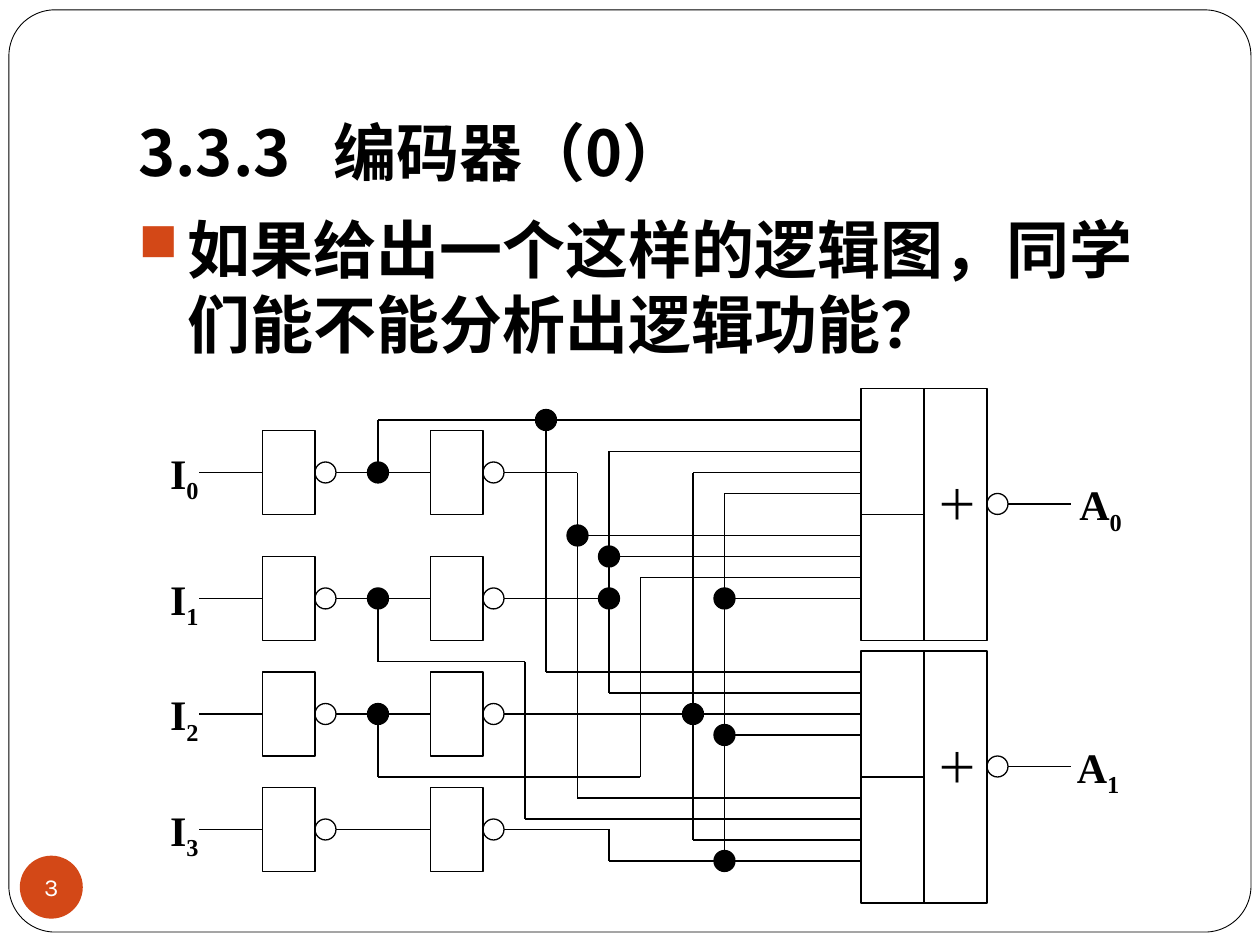
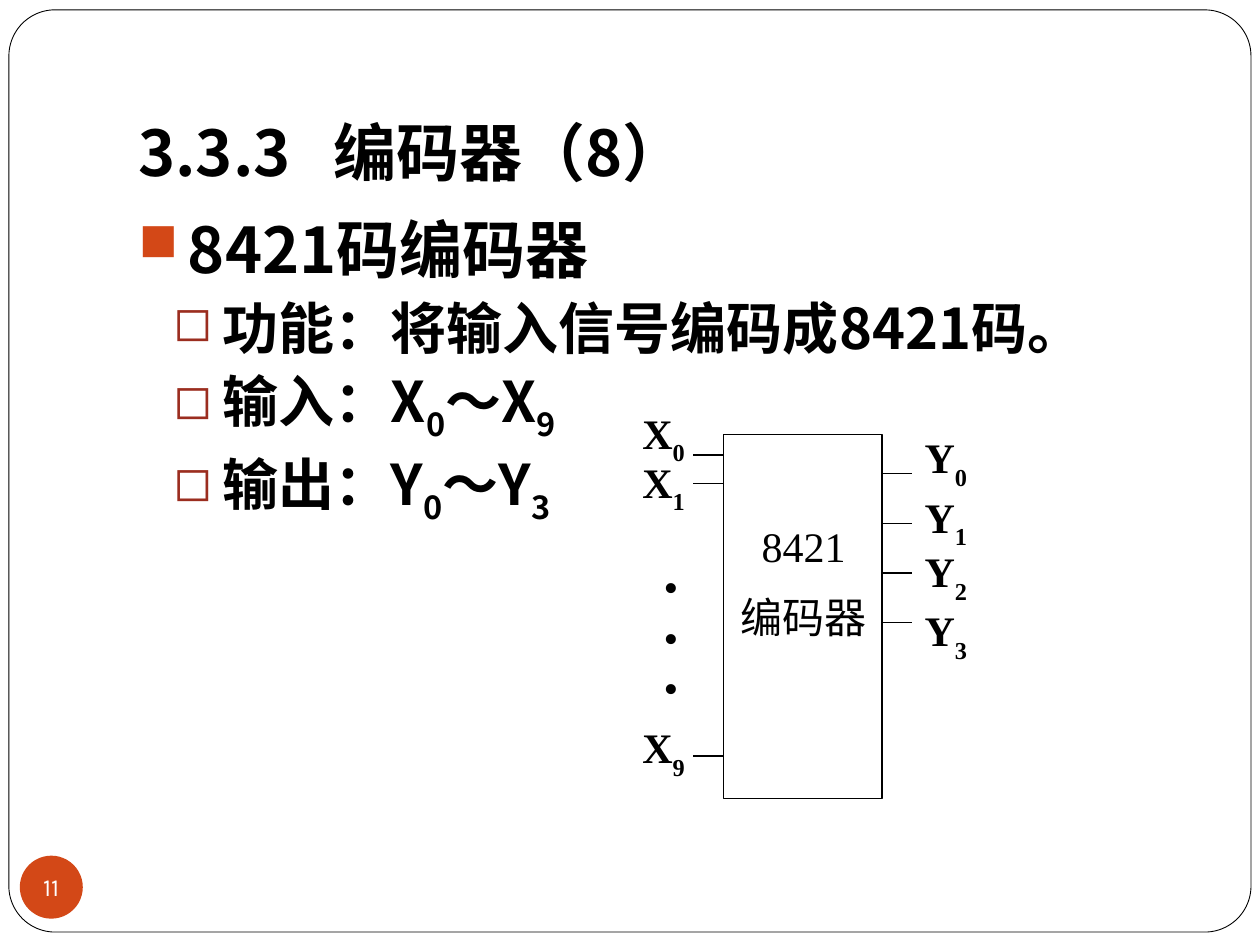
import itertools

import pptx
import pptx.dml.color
import pptx.enum.shapes
import pptx.enum.text
import pptx.oxml.ns
import pptx.util
from lxml import etree

Cm = pptx.util.Cm
Pt = pptx.util.Pt
SHAPE = pptx.enum.shapes.MSO_SHAPE
ANCHOR = pptx.enum.text.MSO_ANCHOR
ALIGN = pptx.enum.text.PP_ALIGN

BLACK, WHITE, ORANGE, RED = "000000", "FFFFFF", "D34817", "9B2D1F"
HEADING_FONT, LABEL_FONT, NUMBER_FONT = "Noto Sans CJK JP", "Times New Roman", "Karla"
GRID = 2.54 / 12
TITLE_TAB = 3.94

LEVELS = [
    {"size": 36, "pitch": 43, "indent": 1.0, "bullet": "■", "color": ORANGE},
    {"size": 32, "pitch": 38.6, "indent": 1.7, "bullet": "◻", "color": RED},
]

QUESTION_TITLE = "3.3.3\t编码器（0）"
QUESTION_BODY = [(0, "如果给出一个这样的逻辑图，同学们能不能分析出逻辑功能？", 5.8)]
ENCODER_TITLE = "3.3.3\t编码器（8）"
ENCODER_BODY = [
    (0, "8421码编码器", 5.8),
    (1, "功能：将输入信号编码成8421码。", 3.7),
    (1, "输入：X_0_～X_9", 8.7),
    (1, "输出：Y_0_～Y_3", 8.7),
]

INPUT_ROWS = [45, 57, 68, 79]
INVERTER_COLUMNS = [25, 41]
OUTPUT_GATES = [("A_0", 37, 21.51), ("A_1", 62, 21.46)]
WIRES = [
    [(36, 45), (36, 40), (82, 40)],
    [(52, 40), (52, 64), (82, 64)],
    [(48, 45), (55, 45), (55, 76), (82, 76)],
    [(55, 51), (82, 51)],
    [(48, 57), (58, 57)],
    [(82, 43), (58, 43), (58, 66), (82, 66)],
    [(58, 53), (82, 53)],
    [(36, 57), (36, 63), (50, 63), (50, 78), (82, 78)],
    [(48, 68), (82, 68)],
    [(82, 45), (66, 45), (66, 80), (82, 80)],
    [(36, 68), (36, 74), (61, 74), (61, 55), (82, 55)],
    [(48, 79), (58, 79), (58, 82), (82, 82)],
    [(82, 47), (69, 47), (69, 82)],
    [(69, 57), (82, 57)],
    [(69, 70), (82, 70)],
]
JUNCTIONS = [
    (36, 45), (36, 57), (36, 68), (52, 40), (55, 51), (58, 53),
    (58, 57), (66, 68), (69, 57), (69, 70), (69, 82),
]

ENCODER_INPUTS = [("X_0", 9.17, 8.26), ("X_1", 9.75, 9.25), ("X_9", 15.24, 14.6)]
ENCODER_OUTPUTS = [("Y_0", 8.76), ("Y_1", 9.96), ("Y_2", 11.05), ("Y_3", 12.24)]


def rgb(color):
    return pptx.dml.color.RGBColor.from_string(color)


def add_element(parent, tag, **attributes):
    return etree.SubElement(parent, pptx.oxml.ns.qn(tag), **attributes)


def add_shape(slide, kind, left, top, width, height, fill=None, line=BLACK, weight=0.75):
    shape = slide.shapes.add_shape(kind, Cm(left), Cm(top), Cm(width), Cm(height))
    shape.shadow.inherit = False
    if fill:
        shape.fill.solid()
        shape.fill.fore_color.rgb = rgb(fill)
    else:
        shape.fill.background()
    if line:
        shape.line.color.rgb = rgb(line)
        shape.line.width = Pt(weight)
    else:
        shape.line.fill.background()
    return shape


def add_line(slide, start, end):
    line = slide.shapes.add_connector(
        pptx.enum.shapes.MSO_CONNECTOR.STRAIGHT, *(Cm(value) for value in (*start, *end))
    )
    line.line.color.rgb = rgb(BLACK)
    line.line.width = Pt(0.75)
    add_element(line._element.spPr, "a:effectLst")


def write(paragraph, text, font, size, bold=False, color=BLACK, subscript=-25000):
    for index, part in enumerate(text.split("_")):
        run = paragraph.add_run()
        run.text = part
        if index % 2:
            run._r.get_or_add_rPr().set("baseline", str(subscript))
    paragraph.font.name = font
    paragraph.font.size = Pt(size)
    paragraph.font.bold = bold
    paragraph.font.color.rgb = rgb(color)
    if font == HEADING_FONT:
        add_element(paragraph._p.pPr.find(pptx.oxml.ns.qn("a:defRPr")), "a:ea", typeface=font)


def add_text_frame(slide, left, top, width, height, anchor=ANCHOR.TOP):
    box = slide.shapes.add_textbox(Cm(left), Cm(top), Cm(width), Cm(height))
    box.text_frame.word_wrap = True
    box.text_frame.vertical_anchor = anchor
    return box.text_frame


def next_paragraph(frame, index):
    return frame.add_paragraph() if index else frame.paragraphs[0]


def add_label(slide, text, left, top, anchor=ANCHOR.TOP, bold=True, subscript=-25000):
    frame = add_text_frame(slide, left, top, 1.78, 1.09, anchor)
    write(frame.paragraphs[0], text, LABEL_FONT, 24, bold, subscript=subscript)


def add_base(presentation, title, body, number):
    slide = presentation.slides.add_slide(presentation.slide_layouts[6])
    border = add_shape(slide, SHAPE.ROUNDED_RECTANGLE, 0.18, 0.2, 25.04, 18.59, WHITE, weight=0.5)
    border.adjustments[0] = 0.05

    frame = add_text_frame(slide, 2.54, 0.76, 21.59, 3.18, ANCHOR.BOTTOM)
    paragraph = frame.paragraphs[0]
    tabs = add_element(paragraph._p.get_or_add_pPr(), "a:tabLst")
    add_element(tabs, "a:tab", pos=str(Cm(TITLE_TAB)), algn="l")
    write(paragraph, title, HEADING_FONT, 36, True)

    badge = add_shape(slide, SHAPE.OVAL, 0.4, 17.25, 1.27, 1.27, ORANGE, None)
    frame = badge.text_frame
    frame.word_wrap = False
    frame.margin_left = frame.margin_right = frame.margin_top = frame.margin_bottom = 0
    frame.vertical_anchor = ANCHOR.MIDDLE
    frame.paragraphs[0].alignment = ALIGN.CENTER
    write(frame.paragraphs[0], number, NUMBER_FONT, 14, color=WHITE)

    frame = add_text_frame(slide, 2.54, 4.13, 21.59, 12.7)
    for index, (depth, text, space) in enumerate(body):
        level = LEVELS[depth]
        paragraph = next_paragraph(frame, index)
        properties = paragraph._p.get_or_add_pPr()
        properties.set("marL", str(Cm(level["indent"])))
        properties.set("indent", str(Cm(-1)))
        color = add_element(properties, "a:buClr")
        add_element(color, "a:srgbClr", val=level["color"])
        add_element(properties, "a:buSzPct", val="85000")
        add_element(properties, "a:buChar", char=level["bullet"])
        paragraph.space_before = Pt(space)
        paragraph.line_spacing = Pt(level["pitch"])
        write(paragraph, text, HEADING_FONT, level["size"], True)
    return slide


def draw_circuit(slide):
    def grid_shape(kind, *place, fill=None):
        add_shape(slide, kind, *(value * GRID for value in place), fill=fill)

    def wire(*points):
        places = [(x * GRID, y * GRID) for x, y in points]
        for start, end in itertools.pairwise(places):
            add_line(slide, start, end)

    for index, row in enumerate(INPUT_ROWS):
        for column in INVERTER_COLUMNS:
            grid_shape(SHAPE.RECTANGLE, column, row - 4, 5, 8)
            grid_shape(SHAPE.OVAL, column + 5, row - 1, 2, 2)
        wire((19, row), (25, row))
        wire((32, row), (41, row))
        add_label(slide, f"I_{index}", 3.18, (row - 3) * GRID)

    for points in WIRES:
        wire(*points)
    for x, y in JUNCTIONS:
        grid_shape(SHAPE.OVAL, x - 1, y - 1, 2, 2, fill=BLACK)

    for name, top, label_left in OUTPUT_GATES:
        for half in (top, top + 12):
            grid_shape(SHAPE.RECTANGLE, 82, half, 6, 12)
        grid_shape(SHAPE.RECTANGLE, 88, top, 6, 24)
        grid_shape(SHAPE.OVAL, 94, top + 10, 2, 2)
        wire((96, top + 11), (102, top + 11))
        add_label(slide, "＋", 88 * GRID, (top + 8) * GRID, bold=False)
        add_label(slide, name, label_left, (top + 8) * GRID)


def draw_encoder(slide):
    add_shape(slide, SHAPE.RECTANGLE, 14.58, 8.76, 3.2, 7.34)
    for name, y, label_top in ENCODER_INPUTS:
        add_line(slide, (13.97, y), (14.58, y))
        add_label(slide, name, 12.7, label_top, ANCHOR.MIDDLE, subscript=-30000)
    for index, (name, label_top) in enumerate(ENCODER_OUTPUTS):
        y = 9.55 + index
        add_line(slide, (17.78, y), (18.39, y))
        add_label(slide, name, 18.39, label_top, ANCHOR.MIDDLE, subscript=-30000)

    frame = add_text_frame(slide, 14.6, 10.36, 3.2, 2.36)
    for index, text in enumerate(["8421", "编码器"]):
        paragraph = next_paragraph(frame, index)
        paragraph.alignment = ALIGN.CENTER
        paragraph.space_before = Pt(12)
        write(paragraph, text, LABEL_FONT, 24)

    frame = add_text_frame(slide, 13.13, 11.18, 1.27, 2.79)
    for index in range(3):
        write(next_paragraph(frame, index), "•", LABEL_FONT, 24)


def main():
    presentation = pptx.Presentation()
    presentation.slide_width = Cm(25.4)
    presentation.slide_height = Cm(19.05)
    draw_circuit(add_base(presentation, QUESTION_TITLE, QUESTION_BODY, "3"))
    draw_encoder(add_base(presentation, ENCODER_TITLE, ENCODER_BODY, "11"))
    presentation.save("out.pptx")


if __name__ == "__main__":
    main()
